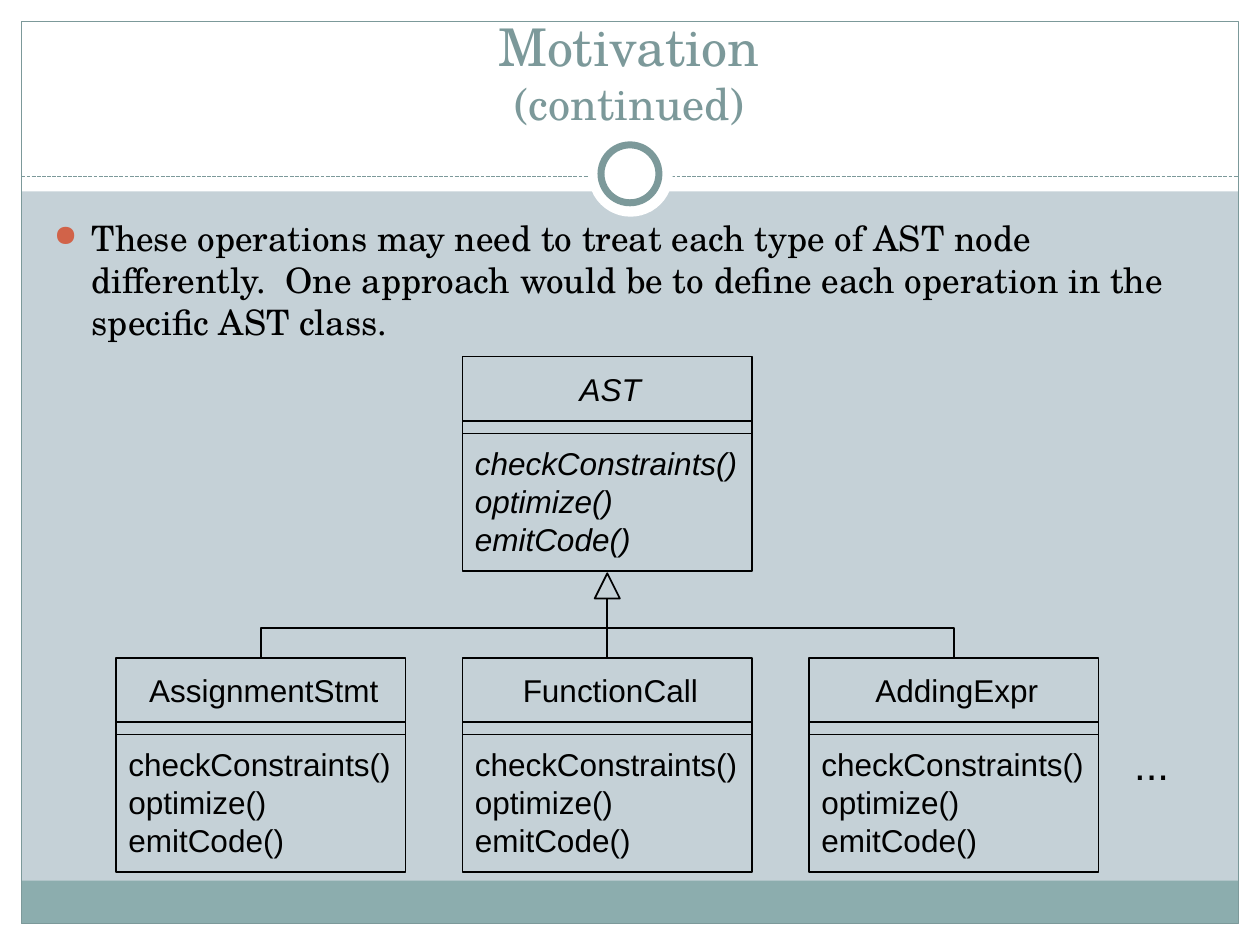
from dataclasses import dataclass

from lxml.etree import SubElement
from pptx import Presentation
from pptx.dml.color import RGBColor
from pptx.enum.dml import MSO_LINE
from pptx.enum.shapes import MSO_CONNECTOR, MSO_SHAPE
from pptx.enum.text import MSO_ANCHOR, PP_ALIGN
from pptx.oxml.ns import qn
from pptx.util import Inches, Pt


@dataclass(frozen=True)
class Theme:
    """Colours, fonts and type sizes."""
    back: str = "C5D1D7"
    white: str = "FFFFFF"
    band: str = "8CADAE"
    accent: str = "7C999A"
    bullet: str = "D16349"
    ink: str = "000000"
    serif: str = "TeX Gyre Schola"
    sans: str = "Arial"
    title: float = 29.7
    subtitle: float = 25.2
    body: float = 20
    label: float = 18
    dots: float = 24


class Deck:
    """Draws elements on the current slide in one style."""

    def __init__(self, prs, theme):
        """Add a blank slide with the theme background."""
        self.theme = theme
        self.s = prs.slides.add_slide(prs.slide_layouts[6])
        fill = self.s.background.fill
        fill.solid()
        fill.fore_color.rgb = RGBColor.from_string(theme.back)

    def shape(self, kind, x, y, w, h, fill=None, line=None, width=1, parent=None):
        """Draw a preset shape."""
        shapes = (parent or self.s).shapes
        sp = shapes.add_shape(kind, Inches(x), Inches(y), Inches(w), Inches(h))
        sp.shadow.inherit = False
        if fill:
            sp.fill.solid()
            sp.fill.fore_color.rgb = RGBColor.from_string(fill)
        else:
            sp.fill.background()
        if line:
            sp.line.color.rgb = RGBColor.from_string(line)
            sp.line.width = Pt(width)
        else:
            sp.line.fill.background()
        return sp

    def line(self, x1, y1, x2, y2, color=None, width=1, dash=None, parent=None,
             kind=MSO_CONNECTOR.STRAIGHT):
        """Draw a connector without a shadow."""
        shapes = (parent or self.s).shapes
        sp = shapes.add_connector(kind, Inches(x1), Inches(y1), Inches(x2), Inches(y2))
        sp.line.color.rgb = RGBColor.from_string(color or self.theme.ink)
        sp.line.width = Pt(width)
        if dash:
            sp.line.dash_style = dash
        SubElement(sp._element.spPr, qn("a:effectLst"))
        return sp

    def branch(self, x1, y1, x2, y2):
        """Draw an elbow that leaves and arrives vertically."""
        cx, cy = (x1 + x2) / 2, (y1 + y2) / 2
        dx, dy = abs(x2 - x1) / 2, (y2 - y1) / 2
        side = 1 if x2 < x1 else -1
        sp = self.line(cx - side * dy, cy - dx, cx + side * dy, cy + dx,
                       kind=MSO_CONNECTOR.ELBOW)
        angle = 90 if side == 1 else 270
        sp._element.spPr.find(qn("a:xfrm")).set("rot", str(angle * 60000))

    def run(self, p, text, size, font, color, italic=False):
        """Append a styled run."""
        r = p.add_run()
        r.text = text
        r.font.size = Pt(size)
        r.font.name = font
        r.font.color.rgb = RGBColor.from_string(color)
        r.font.italic = italic

    def text_box(self, x, y, w, h, align=PP_ALIGN.LEFT, anchor=MSO_ANCHOR.TOP):
        """Add a wrapping text box and return its first paragraph."""
        tf = self.s.shapes.add_textbox(Inches(x), Inches(y), Inches(w), Inches(h)).text_frame
        tf.word_wrap = True
        tf.vertical_anchor = anchor
        p = tf.paragraphs[0]
        p.alignment = align
        return p

    def bullet(self, p, indent):
        """Give a paragraph a hanging round bullet."""
        pPr = p._p.get_or_add_pPr()
        pPr.set("marL", str(Inches(indent)))
        pPr.set("indent", str(-Inches(indent)))
        color = SubElement(pPr, qn("a:buClr"))
        SubElement(color, qn("a:srgbClr")).set("val", self.theme.bullet)
        SubElement(pPr, qn("a:buSzPct")).set("val", "85000")
        SubElement(pPr, qn("a:buChar")).set("char", "●")

    def class_box(self, x, y, name, methods, italic=False):
        """Draw a UML class with its name and methods."""
        t = self.theme
        group = self.s.shapes.add_group_shape()
        sp = self.shape(MSO_SHAPE.RECTANGLE, x, y, BOX_W, BOX_H, line=t.ink, parent=group)
        tf = sp.text_frame
        tf.word_wrap = True
        tf.margin_right = Inches(0.05)
        tf.vertical_anchor = MSO_ANCHOR.MIDDLE
        p = tf.paragraphs[0]
        p.alignment = PP_ALIGN.CENTER
        p.space_after = Pt(21)
        self.run(p, name, t.label, t.sans, t.ink, italic)
        for method in methods:
            p = tf.add_paragraph()
            p.alignment = PP_ALIGN.LEFT
            self.run(p, method, t.label, t.sans, t.ink, italic)
        for dy in (0.51, 0.61):
            self.line(x, y + dy, x + BOX_W, y + dy, parent=group)


BOX_W, BOX_H, PITCH = 2.3, 1.7, 2.75
METHODS = ("checkConstraints()", "optimize()", "emitCode()")
CLASSES = ("AssignmentStmt", "FunctionCall", "AddingExpr")


def draw_frame(deck):
    """Draw the white margins, band, border and ring."""
    t = deck.theme
    for x, y, w, h, fill in ((0, 7.33, 10, 0.17, t.white), (0, 0, 10, 1.52, t.white),
                             (0, 0, 0.17, 7.5, t.white), (9.83, 0, 0.17, 7.5, t.white),
                             (0.17, 6.99, 9.66, 0.34, t.band)):
        deck.shape(MSO_SHAPE.RECTANGLE, x, y, w, h, fill)
    deck.shape(MSO_SHAPE.RECTANGLE, 0.17, 0.17, 9.66, 7.16, line=t.accent, width=0.75)
    deck.line(0.17, 1.4, 9.83, 1.4, t.accent, 0.75, MSO_LINE.SQUARE_DOT)
    deck.shape(MSO_SHAPE.OVAL, 4.67, 1.05, 0.67, 0.67, t.white)
    deck.shape(MSO_SHAPE.OVAL, 4.77, 1.15, 0.46, 0.46, t.white, t.accent, 4)


def draw_text(deck):
    """Write the title and the bullet."""
    t = deck.theme
    p = deck.text_box(0.33, 0.25, 9.33, 0.83, PP_ALIGN.CENTER, MSO_ANCHOR.BOTTOM)
    deck.run(p, "Motivation", t.title, t.serif, t.accent)
    p.add_line_break()
    deck.run(p, "(continued)", t.subtitle, t.serif, t.accent)
    p = deck.text_box(0.33, 1.67, 9.3, 1.1)
    p.space_before = Pt(4)
    deck.bullet(p, 0.3)
    deck.run(p, "These operations may need to treat each type of AST node differently.  "
             "One approach would be to define each operation in the specific AST class.",
             t.body, t.serif, t.ink)


def draw_classes(deck):
    """Draw the parent class, its subclasses and the inheritance lines."""
    t = deck.theme
    left, parent_y, child_y, fork_y = 0.92, 2.83, 5.22, 4.75
    parent_x = left + PITCH
    mid = parent_x + BOX_W / 2
    deck.class_box(parent_x, parent_y, "AST", METHODS, italic=True)
    for i, name in enumerate(CLASSES):
        deck.class_box(left + i * PITCH, child_y, name, METHODS)
    deck.shape(MSO_SHAPE.ISOSCELES_TRIANGLE, mid - 0.1, fork_y - 0.2, 0.2, 0.2, line=t.ink)
    deck.line(mid, fork_y, mid, child_y)
    for dx in (-PITCH, PITCH):
        deck.branch(mid, fork_y, mid + dx, child_y)
    p = deck.text_box(8.9, 5.81, 0.48, 0.5, PP_ALIGN.CENTER)
    deck.run(p, "...", t.dots, t.sans, t.ink)


def main():
    """Build and save the slide."""
    prs = Presentation()
    prs.slide_width, prs.slide_height = Inches(10), Inches(7.5)
    deck = Deck(prs, Theme())
    draw_frame(deck)
    draw_text(deck)
    draw_classes(deck)
    prs.save("out.pptx")


main()
